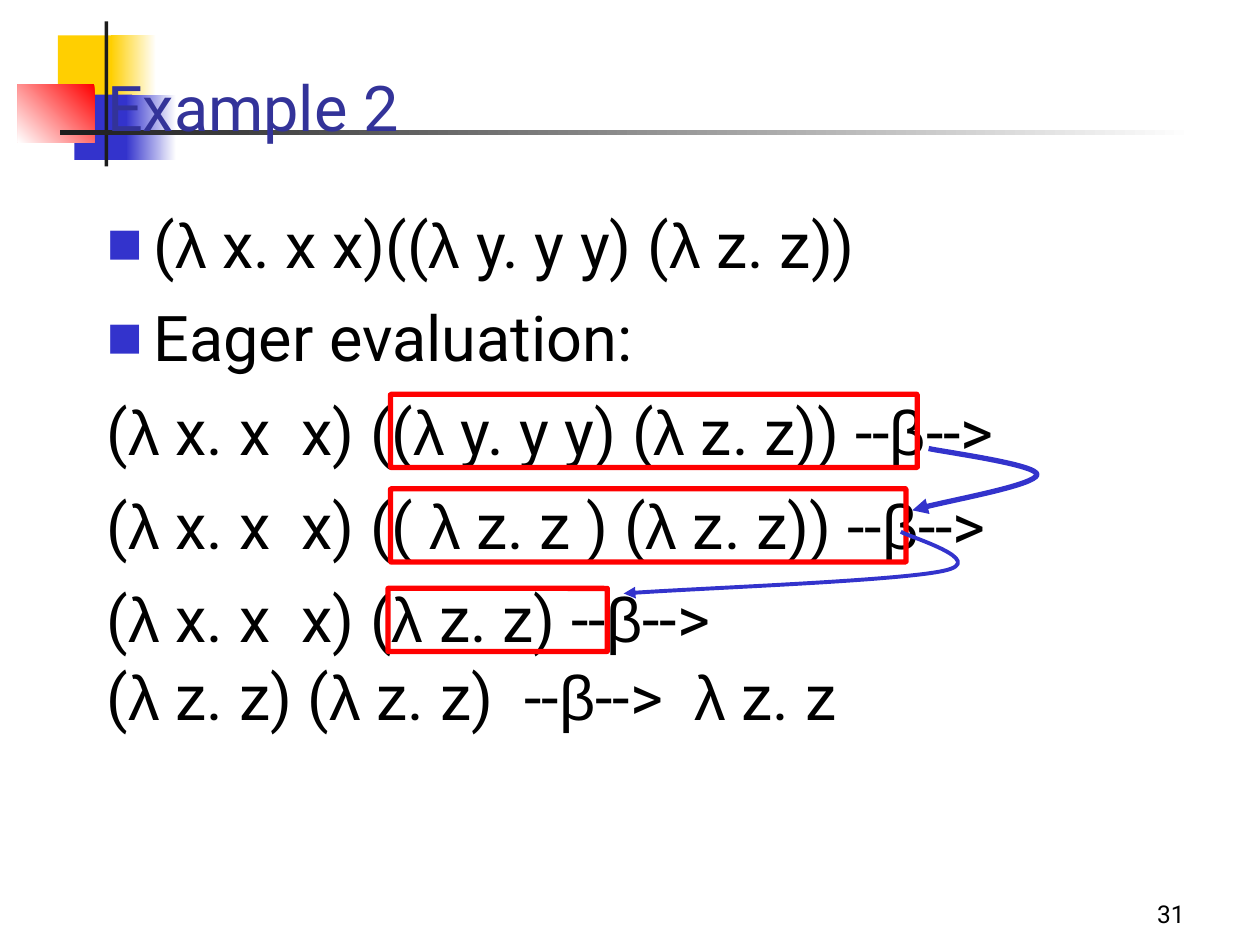
from itertools import groupby

from lxml.etree import SubElement
from pptx import Presentation
from pptx.dml.color import RGBColor
from pptx.enum.shapes import MSO_SHAPE as Shape
from pptx.enum.text import MSO_ANCHOR as Anchor, MSO_AUTO_SIZE as AutoSize, PP_ALIGN as Align
from pptx.oxml.ns import qn
from pptx.util import Inches, Pt

WHITE = RGBColor(0xFF, 0xFF, 0xFF)
BLACK = RGBColor(0x00, 0x00, 0x00)
CHARCOAL = RGBColor(0x1C, 0x1C, 0x1C)
YELLOW = RGBColor(0xFF, 0xCF, 0x01)
BLUE = RGBColor(0x33, 0x33, 0xCC)
NAVY = RGBColor(0x33, 0x33, 0x99)
RED = RGBColor(0xFF, 0x00, 0x00)

FONT, GREEK_FONT, GREEK = "Roboto", "Arial", "λβ"
INDENT = Inches(0.37)

# Left, top, width, height, colours (two make a gradient), angle
DECORATION = [
    (0.46, 0.28, 0.48, 0.52, (YELLOW,), 0),
    (0.88, 0.28, 0.36, 0.52, (WHITE, YELLOW), 180),
    (0.59, 0.75, 0.46, 0.52, (BLUE,), 0),
    (1, 0.75, 0.4, 0.52, (WHITE, BLUE), 180),
    (0.14, 0.67, 0.61, 0.46, (RED, WHITE), 225),
    (0.83, 0.17, 0.03, 1.15, (CHARCOAL,), 0),
    (0.48, 1.03, 9, 0.04, (WHITE, CHARCOAL), 180),
]

# Text, bulleted, line spacing, space before
STEPS = [
    ("(λ x. x x)((λ y. y y) (λ z. z))", True, Pt(36.7), 9),
    ("Eager evaluation:", True, 1.03, 9),
    ("(λ x. x  x) ((λ y. y y) (λ z. z)) --β-->", False, 1.03, 9),
    ("(λ x. x  x) (( λ z. z ) (λ z. z)) --β-->", False, 1.03, 9),
    ("(λ x. x  x) (λ z. z) --β-->", False, 1.03, 9),
    ("(λ z. z) (λ z. z)  --β-->  λ z. z", False, 1.03, 0),
]

REDEX_FRAMES = [(3.1, 3.13, 4.18, 0.58), (3.1, 3.88, 4.09, 0.58), (3.08, 4.67, 1.74, 0.5)]

# Line width, then the start and the control points of two cubic curves
ARROWS = [
    (2.25, [(7.15, 4.22), (7.21, 4.26), (7.86, 4.45), (7.49, 4.53),
            (7.13, 4.61), (5.48, 4.67), (4.95, 4.71)]),
    (3, [(7.37, 3.56), (7.51, 3.59), (8.25, 3.69), (8.23, 3.77),
         (8.2, 3.85), (7.44, 3.99), (7.24, 4.05)]),
]


def inches(*lengths):
    return [Inches(length) for length in lengths]


def add_block(page, left, top, width, height, colours, angle):
    block = page.shapes.add_shape(Shape.RECTANGLE, *inches(left, top, width, height))
    block.shadow.inherit = False
    block.line.fill.background()
    if len(colours) == 1:
        block.fill.solid()
        block.fill.fore_color.rgb = colours[0]
        return
    block.fill.gradient()
    block.fill.gradient_angle = angle
    for stop, colour in zip(block.fill.gradient_stops, colours):
        stop.color.rgb = colour


def add_spans(para, text, size, colour):
    """Write the text run by run, with Greek letters in their own font."""
    for is_greek, letters in groupby(text, lambda letter: letter in GREEK):
        span = para.add_run()
        span.text = "".join(letters)
        span.font.name = GREEK_FONT if is_greek else FONT
        span.font.size = Pt(size)
        span.font.color.rgb = colour


def add_bullet(para):
    props = para._p.get_or_add_pPr()
    colour = SubElement(props, qn("a:buClr"))
    SubElement(colour, qn("a:srgbClr"), val=str(BLUE))
    SubElement(props, qn("a:buSzPct"), val="60000")
    SubElement(props, qn("a:buFont"), typeface=FONT)
    SubElement(props, qn("a:buChar"), char="■")


def set_title(page, text):
    title = page.shapes.title
    title.left, title.top, title.width, title.height = inches(0.75, 0.25, 8.5, 1.25)
    frame = title.text_frame
    frame.auto_size = AutoSize.NONE
    frame.vertical_anchor = Anchor.MIDDLE
    para = frame.paragraphs[0]
    para.alignment = Align.LEFT
    para.line_spacing = 0.93
    add_spans(para, text, 36, NAVY)


def add_steps(page):
    frame = page.shapes.add_textbox(*inches(0.75, 1.67, 9.25, 5.08)).text_frame
    frame.word_wrap = True
    for index, (text, bulleted, spacing, before) in enumerate(STEPS):
        para = frame.add_paragraph() if index else frame.paragraphs[0]
        para.line_spacing = spacing
        para.space_before = Pt(before)
        props = para._p.get_or_add_pPr()
        props.set("marL", str(INDENT))
        props.set("indent", str(-INDENT))
        if bulleted:
            add_bullet(para)
        add_spans(para, text, 36, BLACK)


def add_page_number(page, number):
    frame = page.shapes.add_textbox(*inches(7.42, 6.92, 2.08, 0.5)).text_frame
    frame.word_wrap = True
    frame.vertical_anchor = Anchor.BOTTOM
    frame.paragraphs[0].alignment = Align.RIGHT
    add_spans(frame.paragraphs[0], number, 14, BLACK)


def add_frame(page, bounds):
    box = page.shapes.add_shape(Shape.ROUNDED_RECTANGLE, *inches(*bounds))
    box.adjustments[0] = 0.003
    box.shadow.inherit = False
    box.fill.background()
    box.line.color.rgb = RED
    box.line.width = Pt(3)


def add_curved_arrow(page, width, points):
    start, *controls = [inches(*point) for point in points]
    builder = page.shapes.build_freeform(*start)
    builder.add_line_segments(controls, close=False)
    arrow = builder.convert_to_shape()
    arrow.shadow.inherit = False
    arrow.fill.background()
    arrow.line.color.rgb = BLUE
    arrow.line.width = Pt(width)
    SubElement(arrow.line._get_or_add_ln(), qn("a:tailEnd"), type="triangle")

    # Every three line ends become the control points of one cubic curve
    segments = list(arrow._element.iter(qn("a:lnTo")))
    outline = segments[0].getparent()
    for first in range(0, len(segments), 3):
        curve = SubElement(outline, qn("a:cubicBezTo"))
        for segment in segments[first:first + 3]:
            curve.append(segment[0])
            outline.remove(segment)


def main():
    deck = Presentation()
    deck.slide_width, deck.slide_height = inches(10, 7.5)
    page = deck.slides.add_slide(deck.slide_layouts[5])

    # Corner decoration, kept behind the title
    for block in DECORATION:
        add_block(page, *block)
    title = page.shapes.title._element
    title.getparent().append(title)

    # Text
    add_page_number(page, "31")
    set_title(page, "Example 2")
    add_steps(page)

    # Marked redexes and the arrows between the steps
    for bounds in REDEX_FRAMES:
        add_frame(page, bounds)
    for width, points in ARROWS:
        add_curved_arrow(page, width, points)

    deck.save("out.pptx")


if __name__ == "__main__":
    main()
